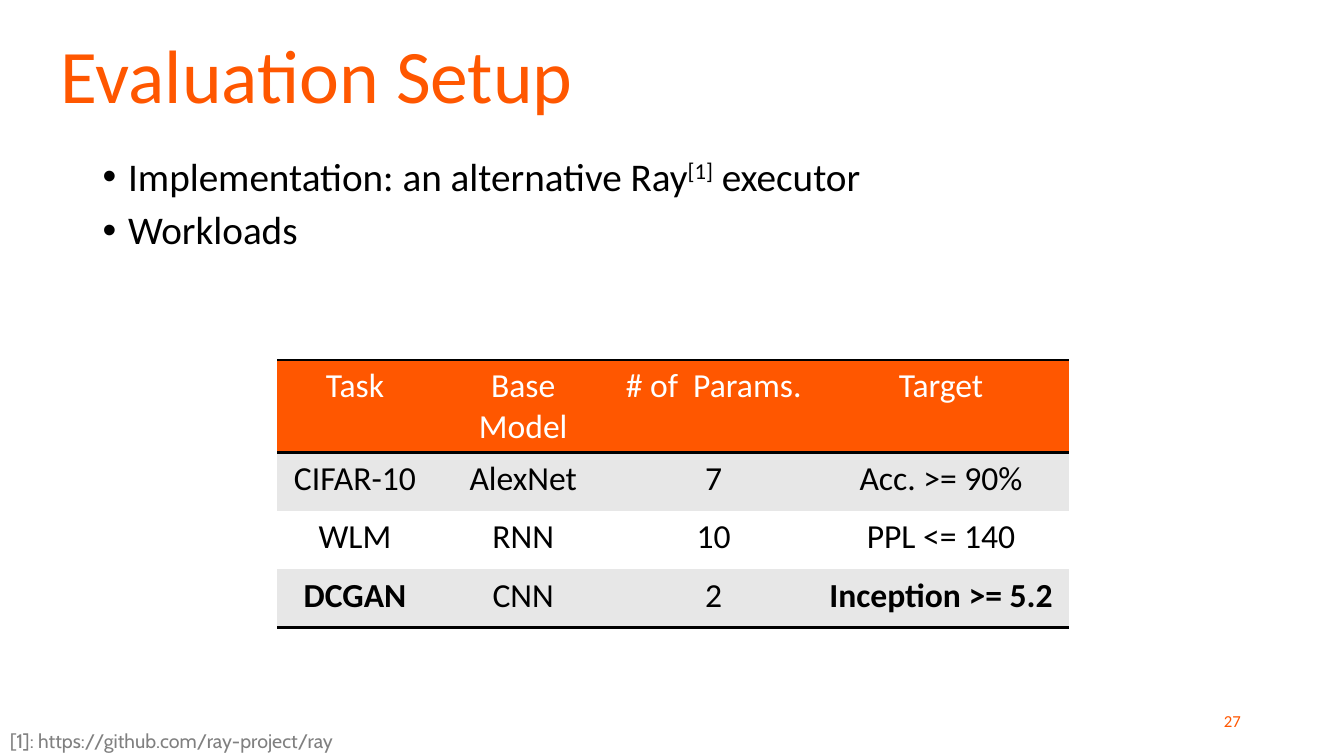
from lxml.etree import SubElement
from pptx import Presentation
from pptx.dml.color import RGBColor
from pptx.enum.text import MSO_ANCHOR as Anchor, MSO_AUTO_SIZE as Fit, PP_ALIGN as Align
from pptx.oxml import parse_xml
from pptx.oxml.ns import nsdecls, qn
from pptx.util import Cm, Pt

ORANGE = RGBColor(0xFF, 0x57, 0x00)
BLACK = RGBColor(0, 0, 0)
WHITE = RGBColor(0xFF, 0xFF, 0xFF)
BAND = RGBColor(0xE7, 0xE7, 0xE7)
GREY = RGBColor(0x80, 0x80, 0x80)
NO_STYLE = "{2D5ABB26-0587-4C30-8999-92F81FD0307C}"

TASKS = [
    ["Task", "Base Model", "# of\u00a0 Params.", "Target"],
    ["CIFAR-10", "AlexNet", "7", "Acc. >= 90%"],
    ["WLM", "RNN", "10", "PPL <= 140"],
    ["DCGAN", "CNN", "2", "Inception >= 5.2"],
]
BOLD = {"DCGAN", "Inception >= 5.2"}
WIDTHS = [3.91, 4.57, 5.03, 6.43]
HEIGHTS = [1.3, 1.47, 1.47, 1.47]


def write(para, text, size, color, font="Calibri", bold=False, align=Align.LEFT, raised=False):
    """Add one formatted run to a paragraph."""
    para.alignment = align
    run = para.add_run()
    run.text = text
    run.font.name = font
    run.font.size = Pt(size)
    run.font.bold = bold
    run.font.color.rgb = color
    if raised:
        run.font._element.set("baseline", "30000")


def indent(para, left, first):
    props = para._p.get_or_add_pPr()
    props.set("marL", str(Cm(left)))
    props.set("indent", str(Cm(first)))
    return props


def add_box(slide, left, top, width, height, wrap=True, anchor=Anchor.TOP):
    box = slide.shapes.add_textbox(Cm(left), Cm(top), Cm(width), Cm(height))
    frame = box.text_frame
    frame.word_wrap = wrap
    frame.vertical_anchor = anchor
    return frame


def add_title(slide, text):
    title = slide.shapes.title
    title.left, title.top, title.width, title.height = Cm(0), Cm(0), Cm(33.87), Cm(3.7)
    frame = title.text_frame
    frame.auto_size = Fit.NONE
    frame.vertical_anchor = Anchor.MIDDLE
    para = frame.paragraphs[0]
    indent(para, 0, 1.27)
    write(para, text, 54, ORANGE)


def add_list(slide, items):
    """Fill the body; each item is a list of (text, raised) pairs."""
    frame = add_box(slide, 2.34, 3.84, 29.21, 13.34)
    for num, item in enumerate(items):
        para = frame.add_paragraph() if num else frame.paragraphs[0]
        props = indent(para, 0.64, -0.64)
        SubElement(props, qn("a:buFont"), typeface="Arial")
        SubElement(props, qn("a:buChar"), char="•")
        para.line_spacing = 0.9
        para.space_before = Pt(8 if num else 0)
        for text, raised in item:
            write(para, text, 28, BLACK, raised=raised)


def add_rule(cell, side):
    """Draw a black line on a cell's side, T or B."""
    line = parse_xml(
        f'<a:ln{side} {nsdecls("a")} w="25400"><a:solidFill>'
        f'<a:srgbClr val="{BLACK}"/></a:solidFill></a:ln{side}>'
    )
    cell._tc.get_or_add_tcPr().insert(0, line)


def add_grid(slide, rows):
    last = len(rows) - 1
    frame = slide.shapes.add_table(
        len(rows), len(WIDTHS), Cm(6.99), Cm(9.07), Cm(sum(WIDTHS)), Cm(sum(HEIGHTS))
    )
    table = frame.table
    table._tbl.tblPr.find(qn("a:tableStyleId")).text = NO_STYLE
    for col, width in zip(table.columns, WIDTHS):
        col.width = Cm(width)
    for num, (row, height, texts) in enumerate(zip(table.rows, HEIGHTS, rows)):
        row.height = Cm(height)
        fill = BAND if num % 2 else WHITE
        for cell, text in zip(row.cells, texts):
            cell.margin_left = cell.margin_right = Cm(0.3)
            cell.margin_top = cell.margin_bottom = Cm(0.15)
            cell.fill.solid()
            cell.fill.fore_color.rgb = fill if num else ORANGE
            write(cell.text_frame.paragraphs[0], text, 24, BLACK if num else WHITE,
                  bold=text in BOLD, align=Align.CENTER)
            if num in (0, last):
                add_rule(cell, "B")
            if num == 0:
                add_rule(cell, "T")


def main():
    deck = Presentation()
    deck.slide_width, deck.slide_height = Cm(33.87), Cm(19.05)
    slide = deck.slides.add_slide(deck.slide_layouts[5])
    add_title(slide, "Evaluation Setup")
    add_list(slide, [
        [("Implementation: an alternative Ray", False), ("[1]", True), (" executor", False)],
        [("Workloads", False)],
    ])
    add_grid(slide, TASKS)
    page = add_box(slide, 23.62, 17.65, 7.9, 1.02, anchor=Anchor.MIDDLE)
    write(page.paragraphs[0], "27", 12, ORANGE, align=Align.RIGHT)
    note = add_box(slide, 0, 18.24, 8.92, 0.86, wrap=False)
    note.auto_size = Fit.SHAPE_TO_FIT_TEXT
    write(note.paragraphs[0], "[1]: https://github.com/ray-project/ray", 14, GREY, font="Cabin")
    deck.save("out.pptx")


if __name__ == "__main__":
    main()
